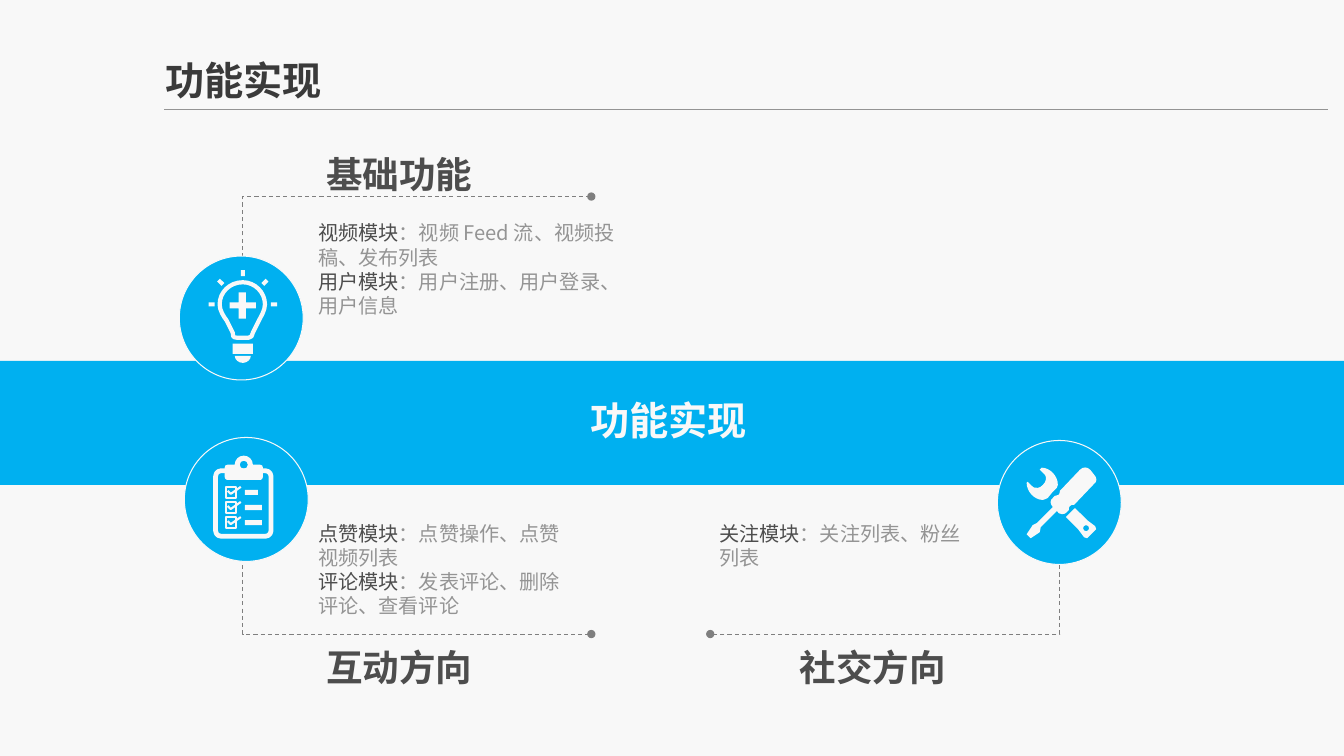
from math import cos, sin, radians

from lxml.etree import SubElement
from pptx import Presentation
from pptx.dml.color import RGBColor
from pptx.enum.dml import MSO_LINE
from pptx.enum.shapes import MSO_CONNECTOR, MSO_SHAPE as SHAPE
from pptx.enum.text import MSO_ANCHOR as ANCHOR, PP_ALIGN as ALIGN
from pptx.oxml.ns import qn
from pptx.util import Inches, Pt

BLUE, LIGHT, DARK, GRAY = "00B0F0", "F8F8F8", "4D4D4D", "949494"
CJK = "Noto Sans CJK SC"
HEADING = dict(size=26.1, bold=True, name=CJK)
BODY = dict(size=14.4, name=CJK)
BANNER = dict(size=28, bold=True, name=CJK)
TITLE = dict(size=28, bold=True, name="Roboto Condensed")


def rgb(color):
    return RGBColor.from_string(color)


def paint(sp, fill=None, line=None, width=0.75):
    sp.shadow.inherit = False
    if fill:
        sp.fill.solid()
        sp.fill.fore_color.rgb = rgb(fill)
    else:
        sp.fill.background()
    if line:
        sp.line.color.rgb = rgb(line)
        sp.line.width = Pt(width)
    else:
        sp.line.fill.background()
    return sp


def add_preset(shapes, kind, box, fill=None, line=None, width=0.75, adj=None):
    sp = shapes.add_shape(kind, *map(Inches, box))
    if adj is not None:
        sp.adjustments[0] = adj
    return paint(sp, fill, line, width)


def add_outline(shapes, contours, fill=None, line=None, width=0.75, close=True):
    """A contour lists points (x, y) and cubic curves (six numbers)."""
    ends = [[(Inches(n[-2]), Inches(n[-1])) for n in c] for c in contours]
    builder = shapes.build_freeform(*ends[0][0])
    for i, pts in enumerate(ends):
        if i:
            builder.move_to(*pts[0])
        builder.add_line_segments(pts[1:], close=close)
    sp = builder.convert_to_shape()
    # Bend the segments that are curves
    left = min(x for pts in ends for x, _ in pts)
    top = min(y for pts in ends for _, y in pts)
    segments = sp._element.findall(".//" + qn("a:lnTo"))
    for seg, node in zip(segments, [n for c in contours for n in c[1:]]):
        if len(node) == 6:
            seg.tag = qn("a:cubicBezTo")
            for k in (0, 2):
                pt = SubElement(seg, qn("a:pt"), x=str(Inches(node[k]) - left),
                                y=str(Inches(node[k + 1]) - top))
                seg.insert(k // 2, pt)
    return paint(sp, fill, line, width)


def rect(x, y, w, h):
    return [(x, y), (x + w, y), (x + w, y + h), (x, y + h)]


def circle(x, y, r):
    k = 0.55 * r
    return [(x - r, y), (x - r, y - k, x - k, y - r, x, y - r),
            (x + k, y - r, x + r, y - k, x + r, y),
            (x + r, y + k, x + k, y + r, x, y + r),
            (x - k, y + r, x - r, y + k, x - r, y)]


def add_text(s, box, paragraphs, fmt, align=ALIGN.LEFT, anchor=ANCHOR.TOP, wrap=True):
    """Each paragraph is a list of (text, colour) runs."""
    tf = s.shapes.add_textbox(*map(Inches, box)).text_frame
    tf.word_wrap, tf.vertical_anchor = wrap, anchor
    for i, runs in enumerate(paragraphs):
        p = tf.paragraphs[0] if i == 0 else tf.add_paragraph()
        p.alignment = align
        for text, color in runs:
            r = p.add_run()
            r.text = text
            for key, value in fmt.items():
                setattr(r.font, key, Pt(value) if key == "size" else value)
            r.font.color.rgb = rgb(color)
            SubElement(r.font._element, qn("a:ea"), typeface=fmt["name"])


def add_bracket(s, x, y, end_x, end_y):
    sp = add_outline(s.shapes, [[(x, y), (x, end_y), (end_x, end_y)]],
                     line="7F7F7F", close=False)
    sp.line.dash_style = MSO_LINE.DASH
    for tag in ("a:headEnd", "a:tailEnd"):
        SubElement(sp.line._get_or_add_ln(), qn(tag), type="oval")


def add_rule(s, x1, x2, y):
    sp = s.shapes.add_connector(MSO_CONNECTOR.STRAIGHT, *map(Inches, (x1, y, x2, y)))
    sp.line.color.rgb, sp.line.width = rgb(GRAY), Pt(0.75)
    SubElement(sp._element.spPr, qn("a:effectLst"))


def add_badge(s, x, y, draw_icon):
    shapes = s.shapes.add_group_shape().shapes
    add_preset(shapes, SHAPE.OVAL, (x, y, 1.23, 1.23), BLUE, LIGHT)
    draw_icon(shapes)


def draw_bulb(shapes):
    glass = [(2.41, 2.8), (2.53, 2.8, 2.63, 2.9, 2.63, 3.02),
             (2.63, 3.08, 2.59, 3.14, 2.57, 3.18), (2.51, 3.3),
             (2.5, 3.33, 2.5, 3.35, 2.47, 3.35), (2.35, 3.35),
             (2.31, 3.35, 2.31, 3.33, 2.31, 3.3), (2.25, 3.18),
             (2.22, 3.14, 2.18, 3.08, 2.18, 3.02),
             (2.18, 2.9, 2.28, 2.8, 2.41, 2.8)]
    add_outline(shapes, [glass], line=LIGHT, width=3)
    plus = [(2.37, 2.9), (2.44, 2.9), (2.44, 3), (2.54, 3), (2.54, 3.06), (2.44, 3.06),
            (2.44, 3.16), (2.37, 3.16), (2.37, 3.06), (2.28, 3.06), (2.28, 3), (2.37, 3)]
    tip = [(2.33, 3.53), (2.33, 3.57, 2.37, 3.6, 2.41, 3.6),
           (2.45, 3.6, 2.49, 3.57, 2.49, 3.53)]
    rays = []
    for angle in range(0, 181, 45):
        c, d = cos(radians(angle)), -sin(radians(angle))
        rays.append([(2.41 + a * c - b * d, 3.02 + a * d + b * c)
                     for a, b in rect(0.28, -0.02, 0.06, 0.04)])
    add_outline(shapes, [plus, rect(2.31, 3.41, 0.2, 0.1), tip, *rays], LIGHT)


def draw_clipboard(shapes):
    add_preset(shapes, SHAPE.ROUNDED_RECTANGLE, (2.14, 4.67, 0.55, 0.65),
               line=LIGHT, width=3.4, adj=0.1)
    clip = [(2.33, 4.61), (2.26, 4.61), (2.24, 4.61, 2.23, 4.62, 2.23, 4.64),
            (2.23, 4.73), (2.23, 4.74, 2.24, 4.76, 2.25, 4.76), (2.59, 4.76),
            (2.6, 4.76, 2.61, 4.74, 2.61, 4.73), (2.61, 4.64),
            (2.61, 4.62, 2.6, 4.61, 2.58, 4.61), (2.51, 4.61),
            (2.51, 4.56, 2.47, 4.52, 2.42, 4.52), (2.37, 4.52, 2.33, 4.56, 2.33, 4.61)]
    rows = [(4.82 + 0.15 * i, bar) for i, bar in enumerate((0.13, 0.17, 0.17))]
    bars = [rect(2.43, y + 0.04, bar, 0.05) for y, bar in rows]
    add_outline(shapes, [clip, circle(2.42, 4.61, 0.04), *bars], LIGHT)
    # Check boxes and ticks
    marks = []
    for y, _ in rows:
        box = rect(2.24, y + 0.01, 0.1, 0.11)
        marks += [box + box[:1], [(2.26, y + 0.05), (2.29, y + 0.08), (2.39, y + 0.01)]]
    add_outline(shapes, marks, line=LIGHT, width=1.5, close=False)


def draw_tools(shapes):
    wrench_head = [
        (10.44, 4.89), (10.49, 4.84), (10.5, 4.83, 10.5, 4.82, 10.5, 4.81),
        (10.5, 4.72, 10.42, 4.64, 10.34, 4.64), (10.32, 4.66),
        (10.39, 4.73, 10.38, 4.71, 10.38, 4.76), (10.38, 4.79, 10.33, 4.84, 10.3, 4.84),
        (10.26, 4.84, 10.27, 4.85, 10.2, 4.78), (10.19, 4.79),
        (10.19, 4.88, 10.27, 4.96, 10.35, 4.96), (10.36, 4.96, 10.38, 4.95, 10.4, 4.94)]
    wrench_handle = [(10.67, 5.04), (10.79, 5.16), (10.87, 5.22), (10.88, 5.25),
                     (10.79, 5.34), (10.76, 5.33), (10.7, 5.25), (10.58, 5.13)]
    screwdriver = [
        (10.86, 4.71), (10.82, 4.66), (10.79, 4.63, 10.75, 4.63, 10.72, 4.66),
        (10.52, 4.87), (10.52, 4.91, 10.5, 4.92, 10.47, 4.92), (10.45, 4.94),
        (10.42, 4.96, 10.42, 5, 10.45, 5.03), (10.29, 5.19), (10.25, 5.21),
        (10.19, 5.3), (10.23, 5.34), (10.32, 5.28), (10.33, 5.23), (10.49, 5.07),
        (10.51, 5.11, 10.57, 5.11, 10.59, 5.08), (10.61, 5.06),
        (10.6, 5.03, 10.63, 5, 10.66, 5.01), (10.86, 4.8),
        (10.89, 4.78, 10.89, 4.74, 10.86, 4.71)]
    hole = circle(10.78, 5.24, 0.03)
    add_outline(shapes, [wrench_head, wrench_handle, hole, screwdriver], LIGHT)


def main():
    prs = Presentation()
    prs.slide_width, prs.slide_height = Inches(13.34), Inches(7.5)
    s = prs.slides.add_slide(prs.slide_layouts[6])
    s.background.fill.solid()
    s.background.fill.fore_color.rgb = rgb(LIGHT)

    # Dashed brackets
    for bracket in ((2.41, 2.73, 5.87, 1.95), (2.41, 5.5, 5.87, 6.29),
                    (10.52, 5.5, 7.05, 6.29)):
        add_bracket(s, *bracket)

    # Central band
    add_preset(s.shapes, SHAPE.RECTANGLE, (0, 3.58, 13.34, 1.23), BLUE)
    add_text(s, (5.76, 3.88, 1.77, 0.57), [[("功能实现", LIGHT)]], BANNER, wrap=False)

    # Icon badges
    for badge in ((1.78, 2.54, draw_bulb), (1.83, 4.34, draw_clipboard),
                  (9.9, 4.37, draw_tools)):
        add_badge(s, *badge)

    # Headings and module lists
    sections = [
        ("基础功能", (3.14, 1.46, 2.11, 0.54), (3.06, 2.14, 3.32, 1.06),
         [("视频模块", "：视频 Feed 流、视频投稿、发布列表"),
          ("用户模块", "：用户注册、用户登录、用户信息")]),
        ("互动方向", (3.14, 6.35, 2.27, 0.54), (3.06, 5.12, 2.77, 1.06),
         [("点赞模块", "：点赞操作、点赞视频列表"),
          ("评论模块", "：发表评论、删除评论、查看评论")]),
        ("社交方向", (7.84, 6.35, 2.21, 0.54), (7.04, 5.12, 2.77, 0.58),
         [("关注模块", "：关注列表、粉丝列表")]),
    ]
    for heading, heading_box, body_box, modules in sections:
        add_text(s, heading_box, [[(heading, DARK)]], HEADING)
        add_text(s, body_box, [[(name, DARK), (text, GRAY)] for name, text in modules], BODY)

    # Slide title
    add_text(s, (1.15, 0.57, 2.54, 0.45), [[("功能实现", "3A3A3A")]], TITLE,
             ALIGN.CENTER, ANCHOR.MIDDLE)
    add_rule(s, 1.63, 13.18, 1.09)

    prs.save("out.pptx")


if __name__ == "__main__":
    main()
